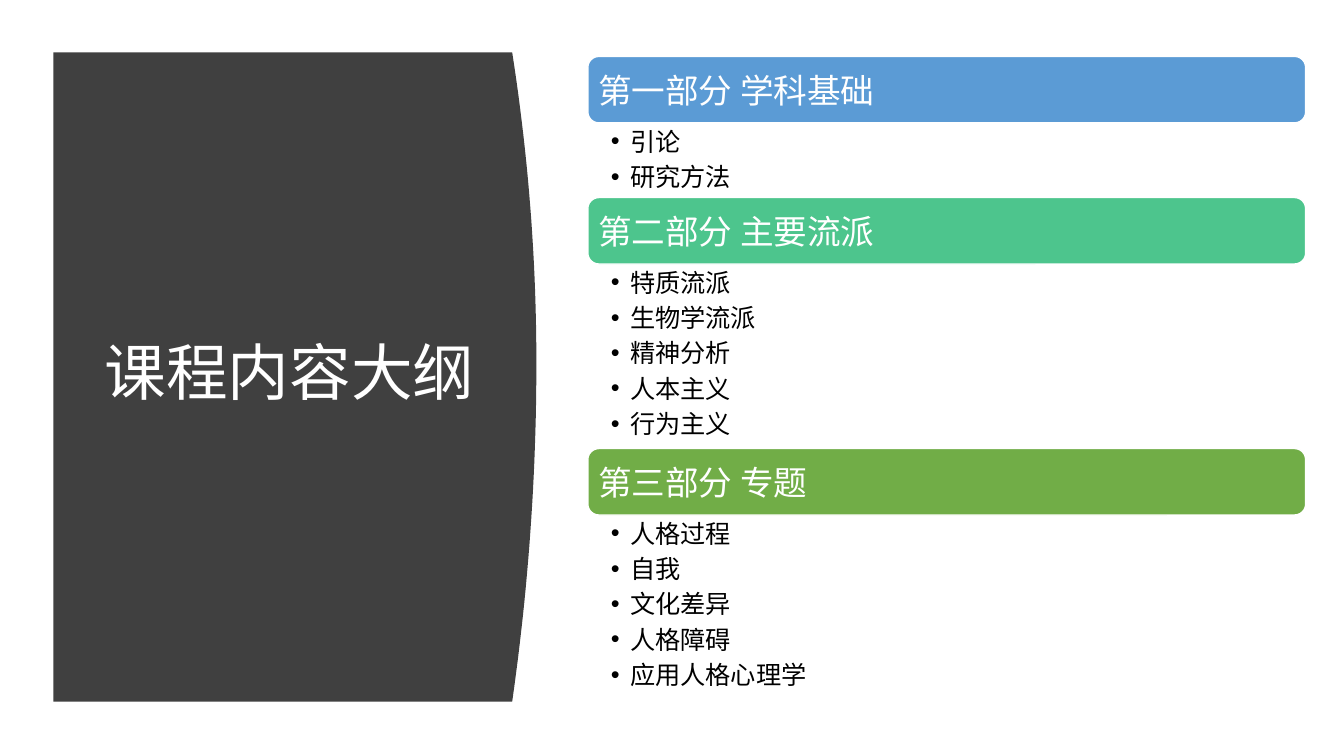
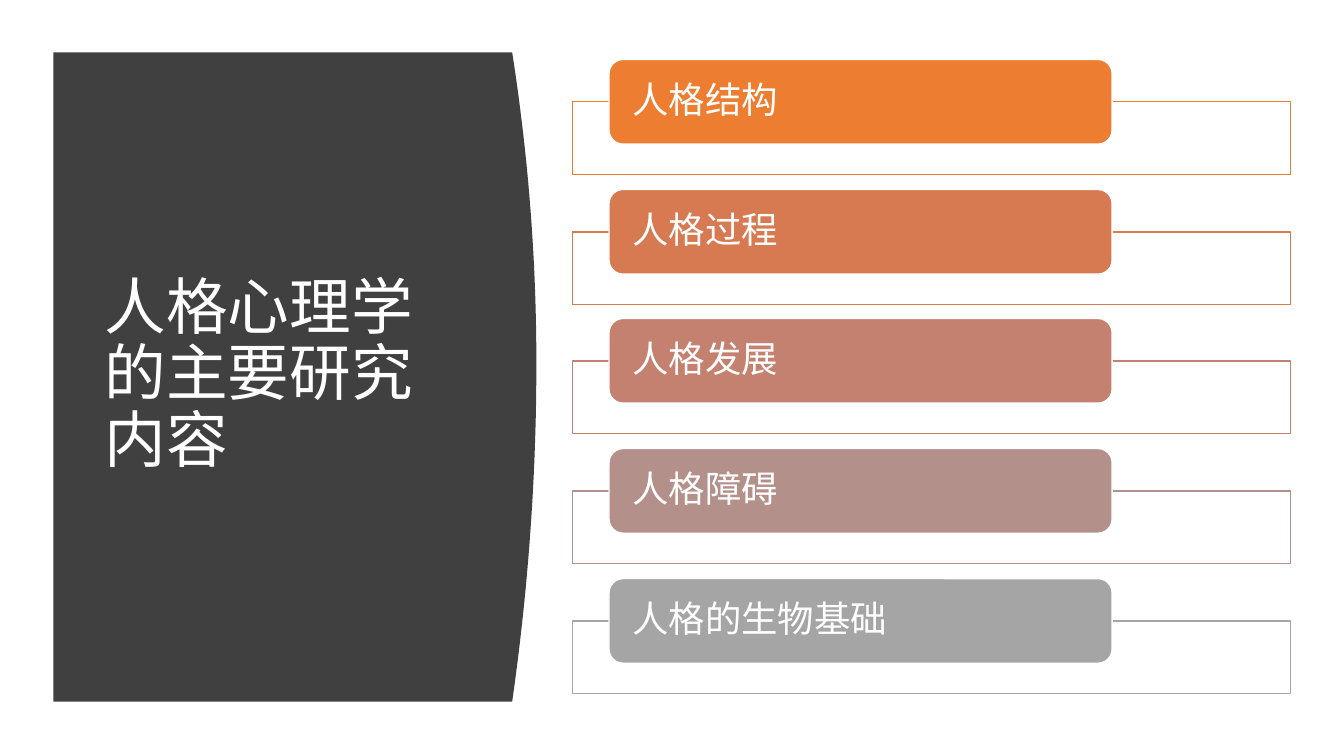
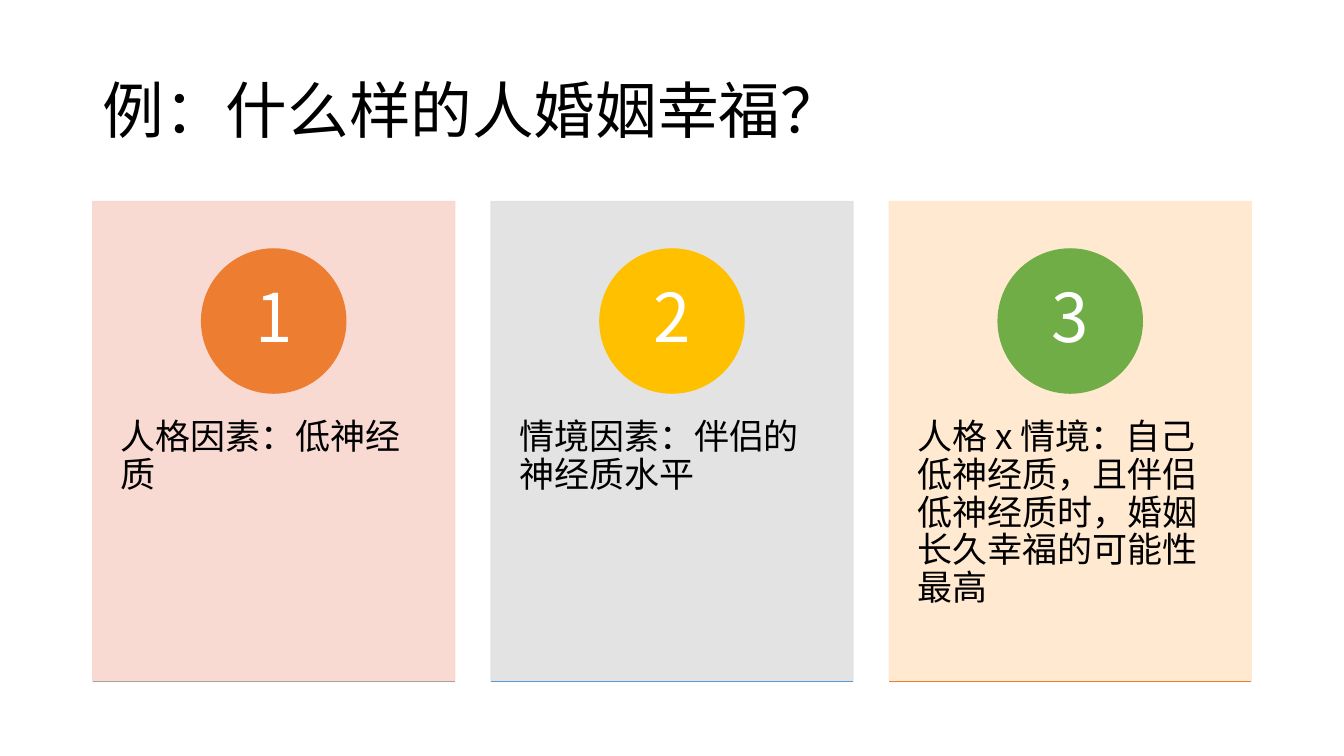
from dataclasses import dataclass
from typing import Optional

from lxml.etree import SubElement
from pptx import Presentation
from pptx.dml.color import RGBColor
from pptx.enum.shapes import MSO_CONNECTOR as Line, MSO_SHAPE as Shape
from pptx.enum.text import MSO_ANCHOR as Anchor, PP_ALIGN as Align
from pptx.oxml.ns import qn
from pptx.util import Pt

PX = 9144  # 100 px to the inch
FONT = "Noto Sans CJK SC"
WHITE, BLACK, PANEL = "FFFFFF", "000000", "404040"
PANEL_LEFT, PANEL_TOP, PANEL_BOTTOM = 53, 52, 696
PANEL_EDGE, PANEL_BULGE, PANEL_PEAK = 508, 24, 360


@dataclass(frozen=True)
class Box:
    left: int
    top: int
    width: int
    height: int

    def emu(self) -> tuple[int, ...]:
        return tuple(v * PX for v in (self.left, self.top, self.width, self.height))


@dataclass(frozen=True)
class Style:
    size: int
    color: str = BLACK
    align: Align = Align.LEFT
    anchor: Anchor = Anchor.MIDDLE
    margins: tuple[int, int, int, int] = (10, 5, 10, 5)
    spacing: float = 0.9
    after: float = 0
    bullet: bool = False


@dataclass(frozen=True)
class Section:
    top: int
    color: str
    title: str
    topics: tuple[str, ...]


@dataclass(frozen=True)
class Topic:
    color: str
    text: str


@dataclass(frozen=True)
class Card:
    fill: str
    circle: str
    rule: str
    text: str


SECTION_TITLE = Style(24, WHITE, margins=(7, 7, 7, 7), spacing=1)
SECTION_LIST = Style(18, anchor=Anchor.TOP, margins=(23, 3, 19, 3), spacing=1,
                     after=3.6, bullet=True)
TOPIC_LABEL = Style(26, WHITE, margins=(19, 0, 19, 0))
CARD_TEXT = Style(25, anchor=Anchor.TOP, margins=(28, 216, 28, 36))
CARD_NUMBER = Style(48, WHITE, Align.CENTER, margins=(11, 1, 11, 1))

SECTIONS = (
    Section(56, "5B9BD5", "第一部分 学科基础", ("引论", "研究方法")),
    Section(196, "4DC58D", "第二部分 主要流派",
            ("特质流派", "生物学流派", "精神分析", "人本主义", "行为主义")),
    Section(445, "71AD47", "第三部分 专题",
            ("人格过程", "自我", "文化差异", "人格障碍", "应用人格心理学")),
)
TOPICS = (
    Topic("ED7D31", "人格结构"),
    Topic("D87A51", "人格过程"),
    Topic("C48170", "人格发展"),
    Topic("B4908B", "人格障碍"),
    Topic("A5A5A5", "人格的生物基础"),
)
CARDS = (
    Card("F8D7CE", "ED7D31", "A5A5A5", "人格因素：低神经质"),
    Card("E1E1E1", "FFC000", "5B9BD5", "情境因素：伴侣的神经质水平"),
    Card("FFE8CC", "70AD47", "ED7D31",
         "人格 x 情境：自己低神经质，且伴侣低神经质时，婚姻长久幸福的可能性最高"),
)


def rgb(color: str) -> RGBColor:
    return RGBColor.from_string(color)


def set_alpha(fill, percent: int) -> None:
    color = fill._xPr.find(qn("a:solidFill"))[0]
    SubElement(color, qn("a:alpha"), val=str(percent * 1000))


def paint(sp, fill: str, line: Optional[str] = None, opacity: int = 100) -> None:
    sp.shadow.inherit = False
    sp.fill.solid()
    sp.fill.fore_color.rgb = rgb(fill)
    if opacity < 100:
        set_alpha(sp.fill, opacity)
    if line is None:
        sp.line.fill.background()
        return
    sp.line.color.rgb = rgb(line)
    sp.line.width = Pt(1)
    if opacity < 100 and line == fill:
        set_alpha(sp.line.fill, opacity)


def add_bullet(p) -> None:
    pPr = p._p.get_or_add_pPr()
    pPr.set("marL", str(19 * PX))
    pPr.set("indent", str(-19 * PX))
    SubElement(pPr, qn("a:buFont"), typeface="Arial")
    SubElement(pPr, qn("a:buChar"), char="•")


def write(sp, style: Style, *lines: str) -> None:
    tf = sp.text_frame
    tf.word_wrap = True
    tf.vertical_anchor = style.anchor
    tf.margin_left, tf.margin_top, tf.margin_right, tf.margin_bottom = (
        m * PX for m in style.margins)
    for i, line in enumerate(lines):
        p = tf.add_paragraph() if i else tf.paragraphs[0]
        p.alignment = style.align
        p.line_spacing = style.spacing
        p.space_after = Pt(style.after)
        if style.bullet:
            add_bullet(p)
        r = p.add_run()
        r.text = line
        r.font.size = Pt(style.size)
        r.font.name = FONT
        r.font.color.rgb = rgb(style.color)
        SubElement(r._r.get_or_add_rPr(), qn("a:ea"), typeface=FONT)


def add_shape(s, kind: Shape, box: Box, fill: str, line: Optional[str] = None,
              opacity: int = 100):
    sp = s.shapes.add_shape(kind, *box.emu())
    paint(sp, fill, line, opacity)
    return sp


def add_text(s, box: Box, style: Style, *lines: str) -> None:
    write(s.shapes.add_textbox(*box.emu()), style, *lines)


def add_title(s, box: Box, text: str, color: str) -> None:
    add_text(s, box, Style(44, color), text)


def add_rule(s, left: int, top: int, width: int, color: str) -> None:
    line = s.shapes.add_connector(Line.STRAIGHT, left * PX, top * PX,
                                  (left + width) * PX, top * PX)
    line.line.color.rgb = rgb(color)
    line.line.width = Pt(1)
    SubElement(line._element.spPr, qn("a:effectLst"))


def add_title_panel(s, title: str, width: int) -> None:
    """Dark panel whose right edge is two half parabolas meeting at the peak."""
    edge = []
    for y in range(PANEL_TOP, PANEL_BOTTOM + 1, 14):
        end = PANEL_TOP if y < PANEL_PEAK else PANEL_BOTTOM
        t = (y - PANEL_PEAK) / (end - PANEL_PEAK)
        x = PANEL_EDGE + PANEL_BULGE * (1 - t * t)
        edge.append((round(x * PX), y * PX))
    builder = s.shapes.build_freeform(PANEL_LEFT * PX, PANEL_TOP * PX)
    builder.add_line_segments([*edge, (PANEL_LEFT * PX, PANEL_BOTTOM * PX)])
    paint(builder.convert_to_shape(), PANEL)
    add_title(s, Box(94, 111, width, 524), title, WHITE)


def outline_slide(s) -> None:
    add_title_panel(s, "课程内容大纲", 398)
    left, width, height = 583, 712, 66
    for sec in SECTIONS:
        bar = add_shape(s, Shape.ROUNDED_RECTANGLE,
                        Box(left, sec.top, width, height), sec.color, WHITE)
        write(bar, SECTION_TITLE, sec.title)
        add_text(s, Box(left, sec.top + height, width, 37 * len(sec.topics)),
                 SECTION_LIST, *sec.topics)


def topics_slide(s) -> None:
    add_title_panel(s, "人格心理学的主要研究内容", 374)
    for i, topic in enumerate(TOPICS):
        top = round(59 + i * 128.75)
        add_shape(s, Shape.RECTANGLE, Box(568, top + 42, 712, 72),
                  WHITE, topic.color, opacity=90)
        label = add_shape(s, Shape.ROUNDED_RECTANGLE, Box(604, top, 499, 84),
                          topic.color, WHITE)
        write(label, TOPIC_LABEL, topic.text)


def example_slide(s) -> None:
    add_title(s, Box(92, 40, 1150, 145), "例：什么样的人婚姻幸福？", BLACK)
    top, width, height, circle = 200, 359, 476, 143
    for i, card in enumerate(CARDS):
        left = 92 + i * 395
        panel = add_shape(s, Shape.RECTANGLE, Box(left, top, width, height),
                          card.fill, card.fill, opacity=90)
        write(panel, CARD_TEXT, card.text)
        disc = add_shape(s, Shape.OVAL,
                         Box(left + (width - circle) // 2, top + 47, circle, circle),
                         card.circle, card.circle)
        write(disc, CARD_NUMBER, str(i + 1))
        add_rule(s, left, top + height, width, card.rule)


def main() -> None:
    prs = Presentation()
    prs.slide_width, prs.slide_height = 1333 * PX, 750 * PX
    for draw in (outline_slide, topics_slide, example_slide):
        draw(prs.slides.add_slide(prs.slide_layouts[6]))
    prs.save("out.pptx")


if __name__ == "__main__":
    main()
